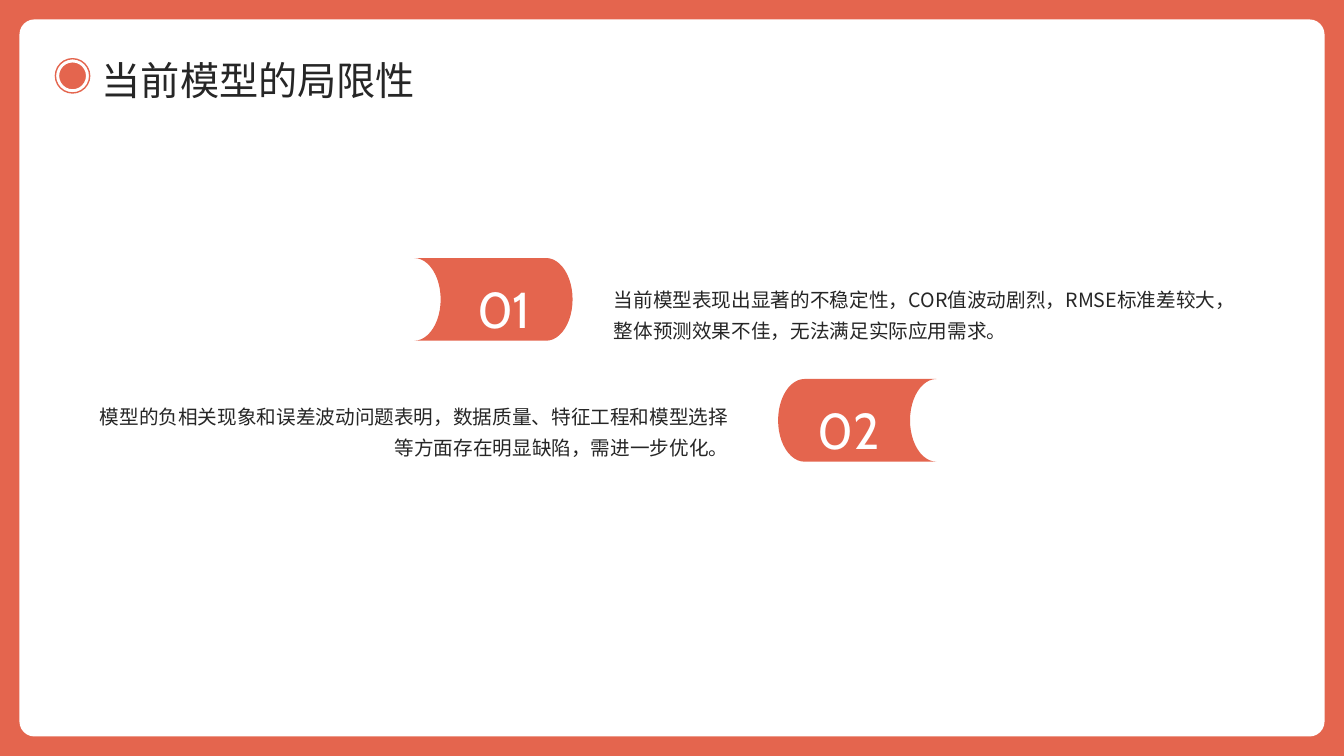
"""Build the slide on the limits of the current model."""
from dataclasses import dataclass

from lxml import etree
from pptx import Presentation
from pptx.dml.color import RGBColor
from pptx.enum.shapes import MSO_SHAPE
from pptx.enum.text import MSO_ANCHOR, MSO_AUTO_SIZE, PP_ALIGN
from pptx.oxml.ns import qn
from pptx.util import Pt

RECT, ROUND, OVAL = MSO_SHAPE.RECTANGLE, MSO_SHAPE.ROUNDED_RECTANGLE, MSO_SHAPE.OVAL
TAG = MSO_SHAPE.FLOWCHART_STORED_DATA
MIDDLE, FIXED = MSO_ANCHOR.MIDDLE, MSO_AUTO_SIZE.NONE
LEFT, RIGHT, CENTER = PP_ALIGN.LEFT, PP_ALIGN.RIGHT, PP_ALIGN.CENTER

COLORS = {"coral": "E4654E", "white": "FFFFFF", "ink": "262626"}
HAN, LATIN = "Noto Sans CJK SC", "Cabin"
WIDTH, HEIGHT, EDGE = 960, 540, 14.4
TAG_W, TAG_H = 113.04, 59.04
NUM_W, NOTE_W = 69.12, 449.28
DOT_X, DOT_Y = 51.84, 54.2


@dataclass
class Style:
    """Look of a text."""
    font: str
    size: float
    color: str
    space: float


@dataclass
class Point:
    """A numbered tag with its note."""
    label: str
    note: str
    top: float
    tag_x: float
    num_x: float
    note_x: float
    note_h: float
    turn: float
    align: PP_ALIGN


HEAD = Style(HAN, 28, "ink", 1.1)
NOTE = Style(HAN, 14, "ink", 1.3)
NUMBER = Style(LATIN, 36, "white", 1.3)

POINTS = [
    Point("01", "当前模型表现出显著的不稳定性，COR值波动剧烈，RMSE标准差较大，整体预测效果不佳，无法满足实际应用需求。",
          184.32, 295.92, 325.44, 438.48, 76.32, 180, LEFT),
    Point("02", "模型的负相关现象和误差波动问题表明，数据质量、特征工程和模型选择等方面存在明显缺陷，需进一步优化。",
          270.72, 555.84, 571.68, 71.28, 71.28, 0, RIGHT),
]


def tint(name: str) -> RGBColor:
    """Return a named colour."""
    return RGBColor.from_string(COLORS[name])


def add_form(slide, kind, x: float, y: float, w: float, h: float, fill: str, line: str = ""):
    """Add a flat shape, with an outline if a line colour is named."""
    form = slide.shapes.add_shape(kind, Pt(x), Pt(y), Pt(w), Pt(h))
    form.shadow.inherit = False
    form.fill.solid()
    form.fill.fore_color.rgb = tint(fill)
    if line:
        form.line.color.rgb = tint(line)
        form.line.width = Pt(1)
    else:
        form.line.fill.background()
    return form


def write(box, text: str, style: Style, align: PP_ALIGN) -> None:
    """Fill a box with one styled paragraph."""
    frame = box.text_frame
    frame.text = text
    frame.word_wrap = True
    frame.auto_size = FIXED
    frame.vertical_anchor = MIDDLE
    frame.margin_left = frame.margin_right = frame.margin_top = frame.margin_bottom = 0
    para = frame.paragraphs[0]
    para.alignment = align
    para.line_spacing = style.space
    para.font.name = style.font
    para.font.size = Pt(style.size)
    para.font.color.rgb = tint(style.color)
    props = para._p.pPr.find(qn("a:defRPr"))
    etree.SubElement(props, qn("a:ea"), typeface=style.font)


def add_text(slide, x: float, y: float, w: float, h: float,
             text: str, style: Style, align: PP_ALIGN) -> None:
    """Add a text box."""
    write(slide.shapes.add_textbox(Pt(x), Pt(y), Pt(w), Pt(h)), text, style, align)


def add_point(slide, point: Point) -> None:
    """Add a tag, its number and its note."""
    tag = add_form(slide, TAG, point.tag_x, point.top, TAG_W, TAG_H, "coral")
    tag.rotation = point.turn
    add_text(slide, point.num_x, point.top, NUM_W, TAG_H, point.label, NUMBER, CENTER)
    add_text(slide, point.note_x, point.top, NOTE_W, point.note_h, point.note, NOTE, point.align)


def add_dot(slide, size: float, fill: str, line: str) -> None:
    """Add one disc of the title mark."""
    add_form(slide, OVAL, DOT_X - size / 2, DOT_Y - size / 2, size, size, fill, line)


def add_title(slide, text: str) -> None:
    """Place the title in front of the panel."""
    title = slide.shapes.title
    title.left, title.top, title.width, title.height = Pt(72.72), Pt(36.72), Pt(855.36), Pt(36.72)
    write(title, text, HEAD, LEFT)
    slide.shapes._spTree.append(title._element)


def main() -> None:
    """Build and save the slide."""
    deck = Presentation()
    deck.slide_width, deck.slide_height = Pt(WIDTH), Pt(HEIGHT)
    slide = deck.slides.add_slide(deck.slide_layouts[5])
    add_form(slide, RECT, 0, 0, WIDTH, HEIGHT, "coral")
    panel = add_form(slide, ROUND, EDGE, EDGE, WIDTH - 2 * EDGE, HEIGHT - 2 * EDGE, "white", "white")
    panel.adjustments[0] = 0.02
    for point in POINTS:
        add_point(slide, point)
    add_title(slide, "当前模型的局限性")
    add_dot(slide, 24.48, "white", "coral")
    add_dot(slide, 20.16, "coral", "white")
    deck.save("out.pptx")


if __name__ == "__main__":
    main()
